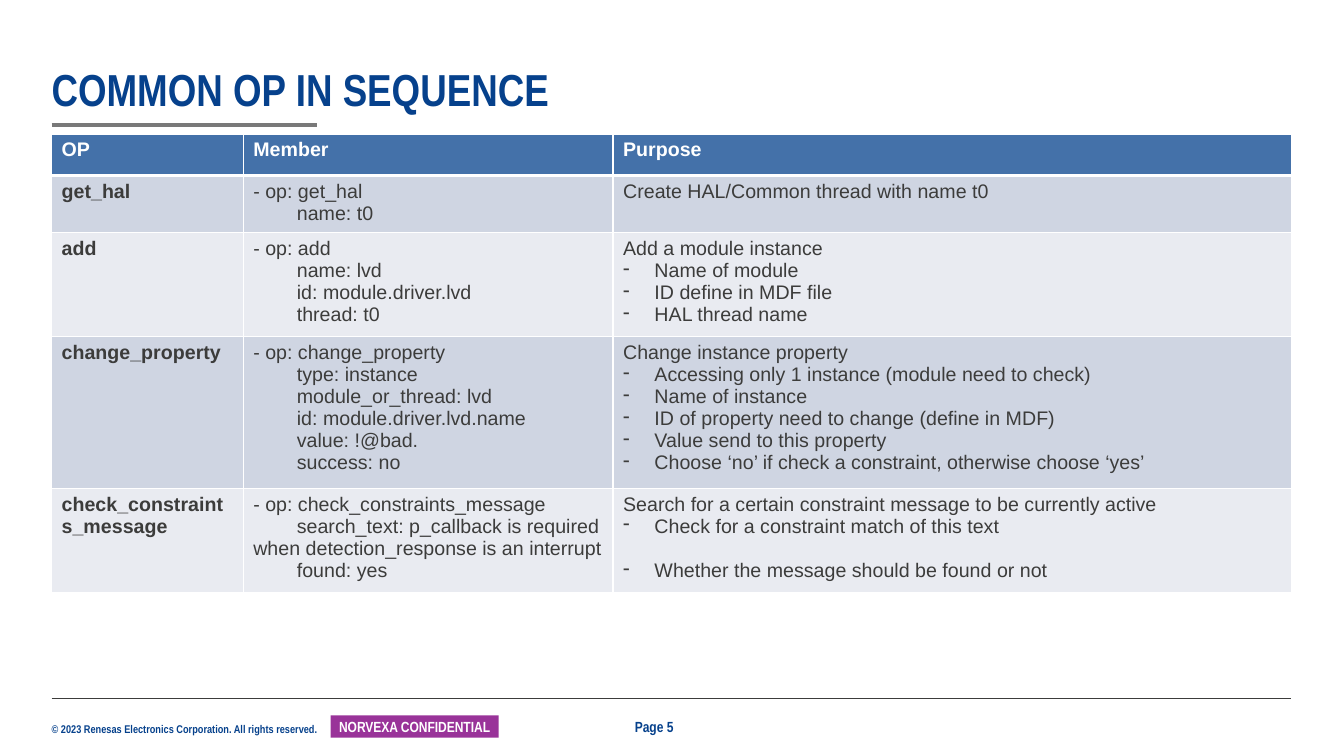
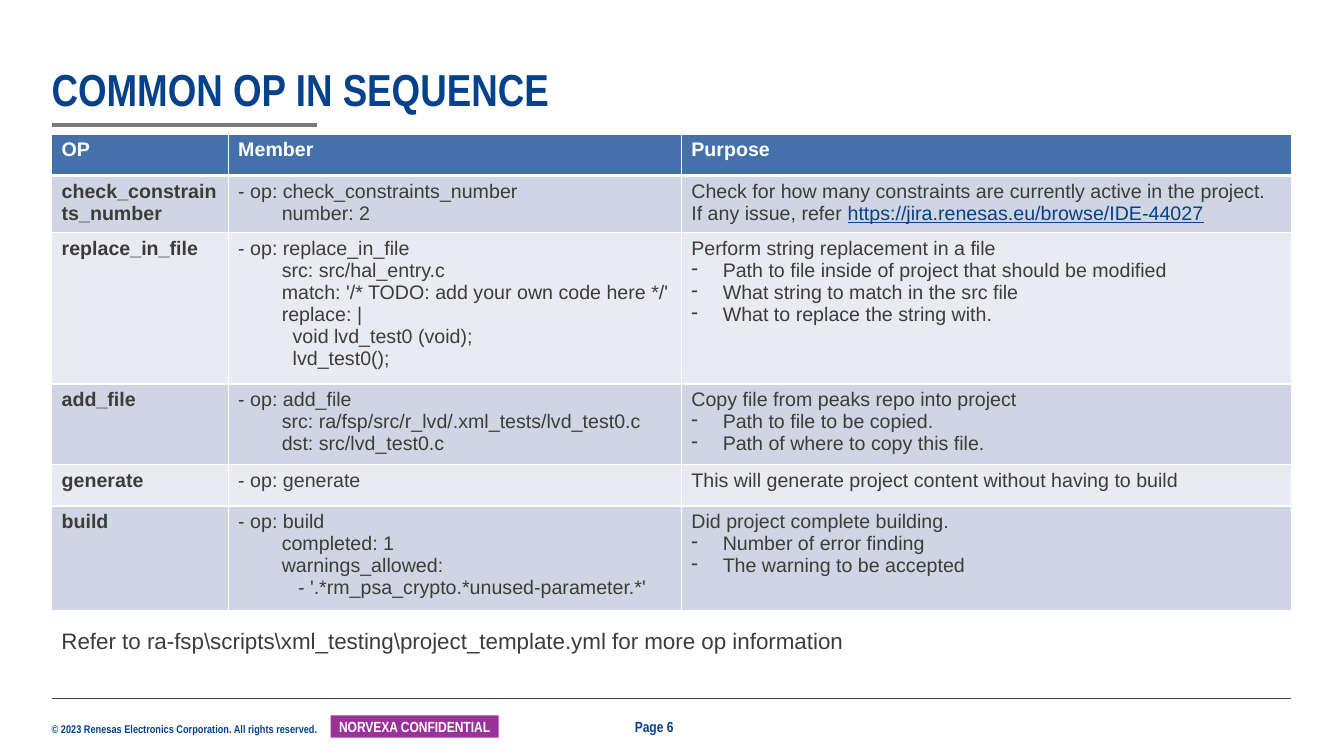
from collections import namedtuple
from dataclasses import dataclass

import pptx
import pptx.dml.color
import pptx.enum.shapes
import pptx.enum.text
import pptx.oxml
import pptx.oxml.ns
import pptx.util
from lxml import etree

Cm, Pt = pptx.util.Cm, pptx.util.Pt
Align, Anchor = pptx.enum.text.PP_ALIGN, pptx.enum.text.MSO_ANCHOR
Bullet = namedtuple("Bullet", "text skipped_lines", defaults=[0])
Link = namedtuple("Link", "text")

# ---- Content ----
TITLE = "COMMON OP IN SEQUENCE"
COPYRIGHT = "© 2023 Renesas Electronics Corporation. All rights reserved."
BADGE = "NORVEXA CONFIDENTIAL"
HEADINGS = ("OP", "Member", "Purpose")

SLIDES = [
    {
        "page": 5,
        "op_width": 4.83,
        "member_width": 9.32,
        "ops": [
            ("get_hal",
             ["- op: get_hal",
              "        name: t0"],
             ["Create HAL/Common thread with name t0"]),
            ("add",
             ["- op: add",
              "        name: lvd",
              "        id: module.driver.lvd",
              "        thread: t0"],
             ["Add a module instance",
              Bullet("Name of module"),
              Bullet("ID define in MDF file"),
              Bullet("HAL thread name")]),
            ("change_property",
             ["- op: change_property",
              "        type: instance",
              "        module_or_thread: lvd",
              "        id: module.driver.lvd.name",
              "        value: !@bad.",
              "        success: no"],
             ["Change instance property",
              Bullet("Accessing only 1 instance (module need to check)"),
              Bullet("Name of instance"),
              Bullet("ID of property need to change (define in MDF)"),
              Bullet("Value send to this property"),
              Bullet("Choose ‘no’ if check a constraint, otherwise choose ‘yes’")]),
            ("check_constraints_message",
             ["- op: check_constraints_message",
              "        search_text: p_callback is required when detection_response is an interrupt",
              "        found: yes"],
             ["Search for a certain constraint message to be currently active",
              Bullet("Check for a constraint match of this text"),
              Bullet("Whether the message should be found or not", skipped_lines=1)]),
        ],
    },
    {
        "page": 6,
        "op_width": 4.45,
        "member_width": 11.42,
        "ops": [
            ("check_constraints_number",
             ["- op: check_constraints_number",
              "        number: 2"],
             ["Check for how many constraints are currently active in the project.",
              ("If any issue, refer ", Link("https://jira.renesas.eu/browse/IDE-44027"))]),
            ("replace_in_file",
             ["- op: replace_in_file",
              "        src: src/hal_entry.c",
              "        match: '/* TODO: add your own code here */'",
              "        replace: |",
              "          void lvd_test0 (void);",
              "          lvd_test0();"],
             ["Perform string replacement in a file",
              Bullet("Path to file inside of project that should be modified"),
              Bullet("What string to match in the src file"),
              Bullet("What to replace the string with.")]),
            ("add_file",
             ["- op: add_file",
              "        src: ra/fsp/src/r_lvd/.xml_tests/lvd_test0.c",
              "        dst: src/lvd_test0.c"],
             ["Copy file from peaks repo into project",
              Bullet("Path to file to be copied."),
              Bullet("Path of where to copy this file.")]),
            ("generate",
             ["- op: generate"],
             ["This will generate project content without having to build"]),
            ("build",
             ["- op: build",
              "        completed: 1",
              "        warnings_allowed:",
              "           - '.*rm_psa_crypto.*unused-parameter.*'"],
             ["Did project complete building.",
              Bullet("Number of error finding"),
              Bullet("The warning to be accepted")]),
        ],
        "note": r"Refer to ra-fsp\scripts\xml_testing\project_template.yml for more op information",
    },
]


# ---- Theme ----
@dataclass(frozen=True)
class Theme:
    blue: str = "06418C"
    ink: str = "3C3C3B"
    white: str = "FFFFFF"
    rule: str = "797979"
    badge: str = "993399"
    header: str = "4471A9"
    bands: tuple = ("CFD5E2", "E9EBF1")
    body_font: str = "Arial"
    narrow_font: str = "Arial Narrow"

    def body(self, size=14, color=None, **extra):
        return {"name": self.body_font, "size": Pt(size), "color": color or self.ink, **extra}

    def narrow(self, size, color=None):
        return {"name": self.narrow_font, "size": Pt(size), "bold": True,
                "color": color or self.blue}


THEME = Theme()
LEFT, CONTENT_WIDTH = 1.3, 31.24
ROW_HEIGHT = 1.04
BULLET_INDENT = 0.79
LINE_PITCH = 16
NO_MARGINS = dict.fromkeys(("margin_left", "margin_top", "margin_right", "margin_bottom"), 0)


def rgb(color):
    return pptx.dml.color.RGBColor.from_string(color)


def set_values(target, values):
    for name, value in values.items():
        setattr(target, name, value)


def add_run(paragraph, text, style):
    run = paragraph.add_run()
    run.text = text
    set_values(run.font, {k: v for k, v in style.items() if k != "color"})
    run.font.color.rgb = rgb(style["color"])


def add_bullet(paragraph):
    props = paragraph._p.get_or_add_pPr()
    props.set("marL", str(Cm(BULLET_INDENT)))
    props.set("indent", str(-Cm(BULLET_INDENT)))
    etree.SubElement(props, pptx.oxml.ns.qn("a:buChar")).set("char", "-")


def write_lines(frame, lines, style):
    """Write each line as a paragraph; a tuple of parts may mix text and links."""
    for index, line in enumerate(lines):
        paragraph = frame.add_paragraph() if index else frame.paragraphs[0]
        if isinstance(line, Bullet):
            add_bullet(paragraph)
            if line.skipped_lines:
                paragraph.space_before = Pt(LINE_PITCH * line.skipped_lines)
            parts = [line.text]
        else:
            parts = [line] if isinstance(line, str) else line
        for part in parts:
            if isinstance(part, Link):
                add_run(paragraph, part.text, {**style, "color": THEME.blue, "underline": True})
            else:
                add_run(paragraph, part, style)


def add_label(slide, text, box, style, frame_format=None, paragraph_format=None):
    frame = slide.shapes.add_textbox(*map(Cm, box)).text_frame
    set_values(frame, {"word_wrap": True, **(frame_format or {})})
    write_lines(frame, [text], style)
    set_values(frame.paragraphs[0], paragraph_format or {})


def add_rule(slide, top, width, color, weight):
    line = slide.shapes.add_connector(pptx.enum.shapes.MSO_CONNECTOR.STRAIGHT,
                                      Cm(LEFT), Cm(top), Cm(LEFT + width), Cm(top))
    line.line.color.rgb = rgb(color)
    line.line.width = Pt(weight)
    etree.SubElement(line._element.spPr, pptx.oxml.ns.qn("a:effectLst"))


def add_badge(slide):
    badge = slide.shapes.add_shape(pptx.enum.shapes.MSO_SHAPE.RECTANGLE,
                                   Cm(8.33), Cm(18.03), Cm(4.24), Cm(0.56))
    badge.shadow.inherit = False
    badge.fill.solid()
    badge.fill.fore_color.rgb = rgb(THEME.badge)
    badge.line.fill.background()
    set_values(badge.text_frame, {**NO_MARGINS, "margin_left": Cm(0.1), "margin_right": Cm(0.1),
                                  "vertical_anchor": Anchor.MIDDLE})
    write_lines(badge.text_frame, [BADGE], THEME.narrow(10.5, THEME.white))
    badge.text_frame.paragraphs[0].alignment = Align.CENTER


def add_frame(slide, page):
    """Add the title, rules and footer that every slide shares."""
    add_label(slide, COPYRIGHT, (LEFT, 18.19, 6.93, 0.33), THEME.narrow(8),
              {**NO_MARGINS, "word_wrap": False})
    add_rule(slide, 17.6, CONTENT_WIDTH, THEME.ink, 0.5)
    add_badge(slide)
    add_rule(slide, 3.15, 6.68, THEME.rule, 3)
    add_label(slide, f"Page {page}", (15.75, 17.96, 1.7, 0.71), THEME.narrow(10.5),
              {"word_wrap": False})
    add_label(slide, TITLE, (LEFT, 1.7, CONTENT_WIDTH, 1.22), THEME.narrow(32),
              {**NO_MARGINS, "vertical_anchor": Anchor.BOTTOM}, {"line_spacing": 0.9})


def paint_cell(cell, fill, top_weight, bottom_weight):
    props = cell._tc.get_or_add_tcPr()
    for side, weight in (("L", 1), ("R", 1), ("T", top_weight), ("B", bottom_weight)):
        props.append(pptx.oxml.parse_xml(
            f'<a:ln{side} {pptx.oxml.ns.nsdecls("a")} w="{Pt(weight)}"><a:solidFill>'
            f'<a:srgbClr val="{THEME.white}"/></a:solidFill></a:ln{side}>'))
    cell.fill.solid()
    cell.fill.fore_color.rgb = rgb(fill)


def add_op_table(slide, op_width, member_width, ops):
    widths = (op_width, member_width, CONTENT_WIDTH - op_width - member_width)
    rows = [[[heading] for heading in HEADINGS]]
    rows += [([op], member, purpose) for op, member, purpose in ops]
    table = slide.shapes.add_table(len(rows), len(widths), Cm(LEFT), Cm(3.38), Cm(CONTENT_WIDTH),
                                   Cm(ROW_HEIGHT * len(rows))).table
    table.horz_banding = False
    for column, width in zip(table.columns, widths):
        column.width = Cm(width)
    for r, row in enumerate(rows):
        is_header = r == 0
        fill = THEME.header if is_header else THEME.bands[(r - 1) % 2]
        for c, lines in enumerate(row):
            cell = table.cell(r, c)
            paint_cell(cell, fill, 3 if r == 1 else 1, 3 if is_header else 1)
            write_lines(cell.text_frame, lines,
                        THEME.body(color=THEME.white if is_header else THEME.ink,
                                   bold=is_header or c == 0))


def main():
    deck = pptx.Presentation()
    set_values(deck, {"slide_width": Cm(33.87), "slide_height": Cm(19.05)})
    for content in SLIDES:
        slide = deck.slides.add_slide(deck.slide_layouts[6])
        add_frame(slide, content["page"])
        add_op_table(slide, content["op_width"], content["member_width"], content["ops"])
        if "note" in content:
            add_label(slide, content["note"], (LEFT, 15.67, CONTENT_WIDTH, 0.94), THEME.body(16))
    deck.save("out.pptx")


if __name__ == "__main__":
    main()
